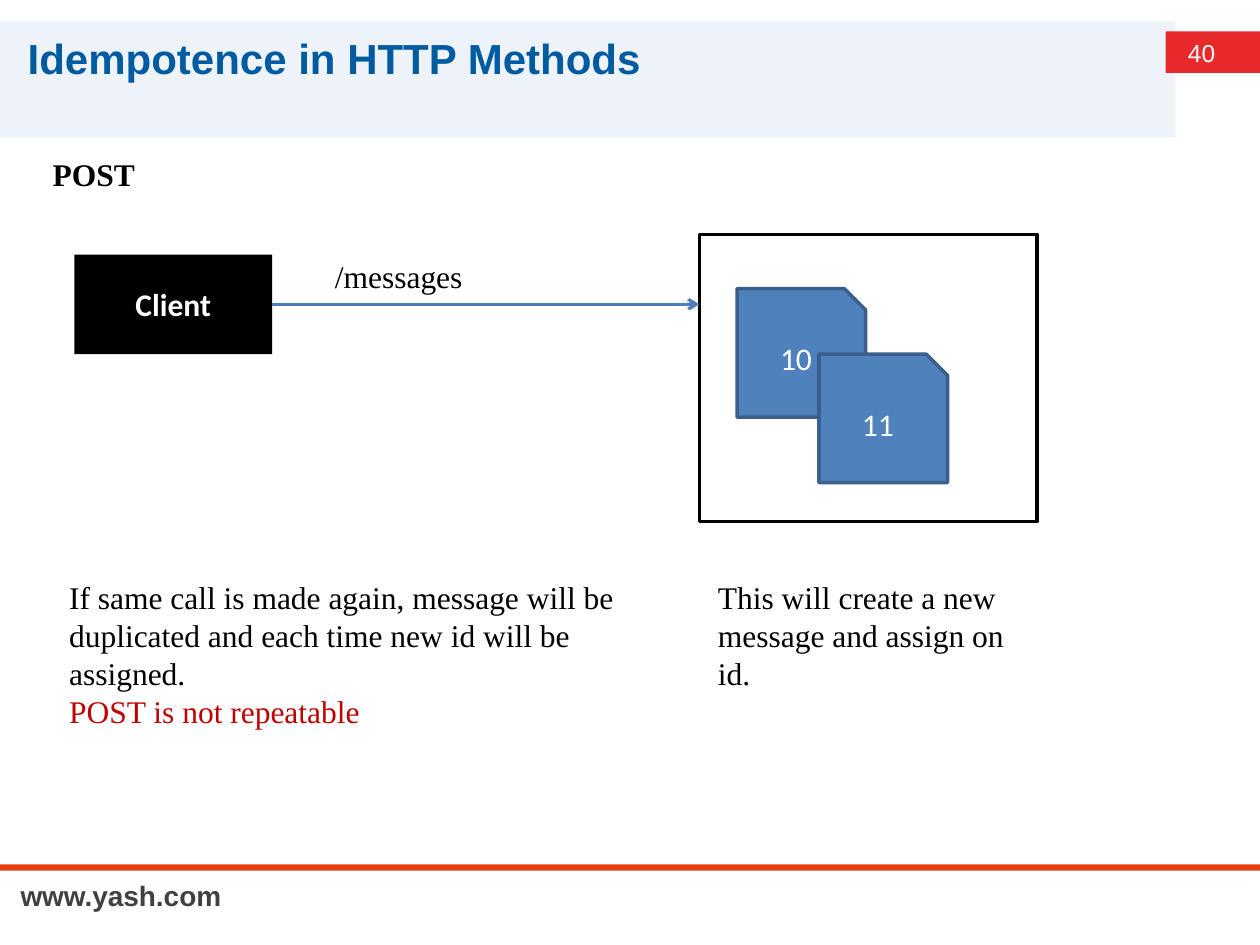
from lxml.etree import SubElement
from pptx import Presentation
from pptx.dml.color import RGBColor
from pptx.enum.shapes import MSO_CONNECTOR, MSO_SHAPE
from pptx.enum.text import MSO_ANCHOR, PP_ALIGN
from pptx.oxml.ns import qn
from pptx.util import Inches, Pt

COLORS = {
    "band": "EEF3FA", "badge": "E72929", "rule": "E53E11", "title": "005BA1",
    "footer": "404040", "black": "000000", "white": "FFFFFF", "warning": "C00000",
    "message": "4F81BD", "message_edge": "3A5F8C", "arrow": "4B7EBC",
}
SERIF, SANS, BODY = "Times New Roman", "Arial", "Calibri"

# Content: boxes are (left, top, width, height) in inches
TITLE = "Idempotence in HTTP Methods"
BANDS = [
    ((0, 0.17, 9.33, 0.92), "band"),
    ((9.25, 0.25, 0.75, 0.33), "badge"),
    ((0, 6.86, 10, 0.05), "rule"),
]
# (box, paragraphs as (text, color), size, font, bold, alignment)
FRAME_TEXTS = [
    ((9.33, 0.25, 0.58, 0.34), [("40", "white")], 14, SANS, False, PP_ALIGN.LEFT),
    ((0, 6.92, 1.92, 0.37), [("www.yash.com", "footer")], 16, SANS, True, PP_ALIGN.CENTER),
]
NOTES = [
    ((0.32, 1.18, 6.85, 0.4), [("POST", "black")], True),
    ((2.56, 1.99, 1.57, 0.4), [("/messages", "black")], False),
    ((5.6, 4.54, 2.63, 1.01),
     [("This will create a new message and assign on id.", "black")], False),
    ((0.45, 4.54, 4.78, 1.31),
     [("If same call is made again, message will be duplicated "
       "and each time new id will be assigned.", "black"),
      ("POST is not repeatable", "warning")], False),
]
CLIENT = (0.59, 2.02, 1.57, 0.79)
SERVER = (5.55, 1.86, 2.68, 2.28)
MESSAGES = [("10", 5.85, 2.29), ("11", 6.5, 2.81)]
MESSAGE_SIZE = 1.02


def rgb(name):
    return RGBColor.from_string(COLORS[name])


def write(frame, paragraphs, size, font, bold=False, align=PP_ALIGN.LEFT):
    frame.word_wrap = True
    for i, (text, color) in enumerate(paragraphs):
        paragraph = frame.add_paragraph() if i else frame.paragraphs[0]
        paragraph.text = text
        paragraph.alignment = align
        paragraph.font.size = Pt(size)
        paragraph.font.name = font
        paragraph.font.bold = bold
        paragraph.font.color.rgb = rgb(color)


def add_text(slide, box, *style):
    textbox = slide.shapes.add_textbox(*map(Inches, box))
    write(textbox.text_frame, *style)


def add_block(slide, box, fill=None, edge=None, label=None, bold=False,
              kind=MSO_SHAPE.RECTANGLE):
    block = slide.shapes.add_shape(kind, *map(Inches, box))
    block.shadow.inherit = False
    if fill:
        block.fill.solid()
        block.fill.fore_color.rgb = rgb(fill)
    else:
        block.fill.background()
    if edge:
        block.line.color.rgb = rgb(edge)
        block.line.width = Pt(2)
    else:
        block.line.fill.background()
    if label:
        block.text_frame.vertical_anchor = MSO_ANCHOR.MIDDLE
        write(block.text_frame, [(label, "white")], 18, BODY, bold, PP_ALIGN.CENTER)


def add_arrow(slide, start, end, y):
    arrow = slide.shapes.add_connector(
        MSO_CONNECTOR.STRAIGHT, Inches(start), Inches(y), Inches(end), Inches(y))
    arrow.line.color.rgb = rgb("arrow")
    arrow.line.width = Pt(1.75)
    SubElement(arrow.line._get_or_add_ln(), qn("a:tailEnd"), type="arrow")
    SubElement(arrow._element.spPr, qn("a:effectLst"))


def main():
    prs = Presentation()
    prs.slide_width, prs.slide_height = Inches(10), Inches(7.5)
    slide = prs.slides.add_slide(prs.slide_layouts[5])

    # Header and footer
    for box, fill in BANDS:
        add_block(slide, box, fill)
    for frame_text in FRAME_TEXTS:
        add_text(slide, *frame_text)

    # Title, brought in front of its band
    title = slide.shapes.title
    title.left, title.top, title.width, title.height = map(Inches, (0, 0.17, 9.5, 0.58))
    title.text_frame.margin_left = Inches(0.22)
    title.text_frame.vertical_anchor = MSO_ANCHOR.MIDDLE
    write(title.text_frame, [(TITLE, "title")], 24, SANS, True)
    title._element.getparent().append(title._element)

    # Client, server and the request between them
    add_block(slide, CLIENT, "black", label="Client", bold=True)
    add_block(slide, SERVER, edge="black")
    left, top, width, height = CLIENT
    add_arrow(slide, left + width, SERVER[0], top + height / 2)

    # Stored messages
    for number, left, top in MESSAGES:
        add_block(slide, (left, top, MESSAGE_SIZE, MESSAGE_SIZE), "message",
                  "message_edge", number, kind=MSO_SHAPE.SNIP_1_RECTANGLE)

    # Heading, request label and explanations
    for box, paragraphs, bold in NOTES:
        add_text(slide, box, paragraphs, 18, SERIF, bold)

    prs.save("out.pptx")


if __name__ == "__main__":
    main()
